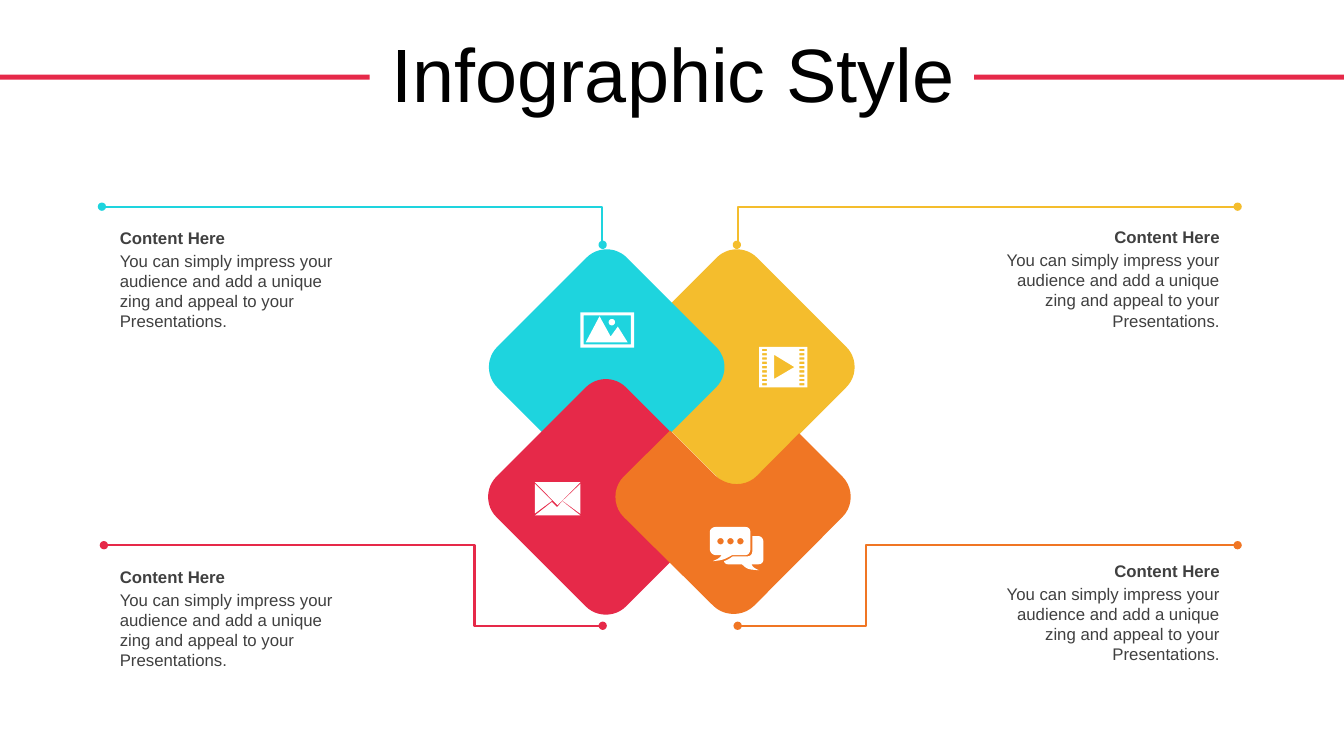
"""Build the four-diamond infographic slide."""
from dataclasses import dataclass

from lxml import etree
from pptx import Presentation
from pptx import util as u
from pptx.dml.color import RGBColor
from pptx.enum import shapes, text
from pptx.oxml import ns
from pptx.util import Cm


@dataclass(frozen=True)
class Theme:
    """Colours, font and type sizes of the slide."""
    cyan: str = "1ED4DE"
    yellow: str = "F4BD2D"
    red: str = "E62949"
    orange: str = "F07624"
    white: str = "FFFFFF"
    black: str = "000000"
    grey: str = "404040"
    font: str = "Arial"
    title_size: int = 54
    caption_size: int = 12


THEME = Theme()
MESSAGE = ("You can simply impress your audience and add a unique zing "
           "and appeal to your Presentations.")
LEFT, RIGHT = text.PP_ALIGN.LEFT, text.PP_ALIGN.RIGHT
DIAMOND_SIDE = 4.62

ORANGE_DIAMOND = [
    (16.89, 10.85), (18.03, 11.99), (18.34, 12.27, 18.8, 12.27, 19.08, 11.99),
    (20.14, 10.92), (21.23, 12.01), (21.51, 12.29, 21.51, 12.75, 21.23, 13.03),
    (19, 15.27), (18.72, 15.54, 18.26, 15.54, 17.98, 15.27),
    (15.72, 13.03), (15.44, 12.75, 15.44, 12.29, 15.72, 12.01),
]
ENVELOPE = [
    [(0.69, 0.48), (1.15, 0.84), (0, 0.84), (0.43, 0.5), (0.56, 0.63)],
    [(1.15, 0.04), (1.15, 0.8), (0.7, 0.47)],
    [(0, 0.04), (0.43, 0.47), (0, 0.79)],
    [(0, 0), (1.15, 0), (0.57, 0.58)],
]
BACK_BUBBLE = [
    (1.07, 0.23), (1.22, 0.23), (1.3, 0.23, 1.35, 0.3, 1.35, 0.38),
    (1.35, 0.81), (1.35, 0.89, 1.3, 0.94, 1.22, 0.94), (1.04, 0.94),
    (1.09, 0.99, 1.07, 1.02, 1.24, 1.09), (0.97, 1.07, 0.94, 1.07, 0.81, 0.94),
    (0.46, 0.94), (0.41, 0.94, 0.36, 0.91, 0.36, 0.86),
    (0.43, 0.84, 0.51, 0.79, 0.58, 0.74), (0.94, 0.74),
    (1.02, 0.74, 1.07, 0.69, 1.07, 0.61),
]
FRONT_BUBBLE = [
    (0.15, 0), (0.89, 0), (0.97, 0, 1.02, 0.05, 1.02, 0.13),
    (1.02, 0.56), (1.02, 0.64, 0.97, 0.71, 0.89, 0.71), (0.56, 0.71),
    (0.38, 0.81, 0.33, 0.84, 0.08, 0.86), (0.23, 0.79, 0.23, 0.79, 0.3, 0.71),
    (0.15, 0.71), (0.08, 0.71, 0, 0.64, 0, 0.56),
    (0, 0.13), (0, 0.05, 0.08, 0, 0.15, 0),
]
MOUNTAINS = [(0.48, 0.1), (0.76, 0.61), (0.94, 0.36), (1.19, 0.76), (0.13, 0.76)]
PLAY = [(0.38, 0.2), (0.38, 0.81), (0.89, 0.51)]


def box(left, top, width, height):
    """Return the contour of a rectangle."""
    right, bottom = left + width, top + height
    return [(left, top), (right, top), (right, bottom), (left, bottom)]


def circle(x, y, r):
    """Return the contour of a circle as four curves."""
    k = 0.55 * r
    return [(x, y - r), (x + k, y - r, x + r, y - k, x + r, y),
            (x + r, y + k, x + k, y + r, x, y + r),
            (x - k, y + r, x - r, y + k, x - r, y),
            (x - r, y - k, x - k, y - r, x, y - r)]


def flatten(contour, steps=10):
    """Turn corners and cubic curves into a list of points."""
    points = []
    for part in contour:
        if len(part) == 2:
            points.append(part)
            continue
        controls = [points[-1], part[:2], part[2:4], part[4:]]
        for step in range(1, steps + 1):
            t = step / steps
            weights = ((1 - t) ** 3, 3 * t * (1 - t) ** 2, 3 * t * t * (1 - t), t ** 3)
            points.append(tuple(sum(w * c[axis] for w, c in zip(weights, controls))
                                for axis in (0, 1)))
    return points


def paint(shape, color):
    """Give a shape a plain fill without line or shadow."""
    shape.fill.solid()
    shape.fill.fore_color.rgb = RGBColor.from_string(color)
    shape.line.fill.background()
    shape.shadow.inherit = False


def add_outline(slide, contours, color, left=0, top=0):
    """Draw contours as one filled freeform, offset by left and top."""
    builder = None
    for contour in contours:
        points = [(Cm(left + x), Cm(top + y)) for x, y in flatten(contour)]
        if builder is None:
            builder = slide.shapes.build_freeform(*points[0])
        else:
            builder.move_to(*points[0])
        builder.add_line_segments(points[1:], close=True)
    paint(builder.convert_to_shape(), color)


def add_bar(slide, left):
    """Draw one of the bars beside the title."""
    bar = slide.shapes.add_shape(shapes.MSO_SHAPE.RECTANGLE,
                                 Cm(left), Cm(1.88), Cm(9.32), Cm(0.13))
    paint(bar, THEME.red)


def add_diamond(slide, center_x, center_y, color):
    """Draw a rounded square standing on its corner."""
    half = DIAMOND_SIDE / 2
    diamond = slide.shapes.add_shape(
        shapes.MSO_SHAPE.ROUNDED_RECTANGLE, Cm(center_x - half), Cm(center_y - half),
        Cm(DIAMOND_SIDE), Cm(DIAMOND_SIDE))
    diamond.adjustments[0] = 0.156
    diamond.rotation = 315
    paint(diamond, color)


def write(frame, words, size=THEME.caption_size, color=THEME.grey, bold=False,
          align=LEFT, anchor=text.MSO_ANCHOR.TOP, spacing=None,
          fit=text.MSO_AUTO_SIZE.SHAPE_TO_FIT_TEXT):
    """Put one formatted paragraph into a text frame."""
    frame.word_wrap = True
    frame.auto_size = fit
    frame.vertical_anchor = anchor
    frame.text = words
    paragraph = frame.paragraphs[0]
    paragraph.alignment = align
    paragraph.line_spacing = spacing
    font = paragraph.runs[0].font
    font.name, font.size, font.bold = THEME.font, u.Pt(size), bold
    font.color.rgb = RGBColor.from_string(color)


def add_title(slide):
    """Place and format the slide title."""
    title = slide.shapes.title
    title.left, title.top, title.width, title.height = Cm(0.89), Cm(0.79), Cm(32.16), Cm(2.34)
    write(title.text_frame, "Infographic Style", size=THEME.title_size,
          color=THEME.black, align=text.PP_ALIGN.CENTER, spacing=0.9,
          anchor=text.MSO_ANCHOR.MIDDLE, fit=text.MSO_AUTO_SIZE.NONE)


def add_caption(slide, left, top, width, align):
    """Add a bold heading with its message below."""
    heading = slide.shapes.add_textbox(Cm(left), Cm(top), Cm(width), Cm(0.76))
    write(heading.text_frame, "Content Here", bold=True, align=align,
          anchor=text.MSO_ANCHOR.MIDDLE)
    message = slide.shapes.add_textbox(Cm(left), Cm(top + 0.58), Cm(width), Cm(2.31))
    write(message.text_frame, MESSAGE, align=align)


def add_leader(slide, start, end, bend, color):
    """Draw an elbow line with a dot at both ends."""
    leader = slide.shapes.add_connector(shapes.MSO_CONNECTOR.ELBOW,
                                        *(Cm(v) for v in start + end))
    leader.line.color.rgb = RGBColor.from_string(color)
    leader.line.width = u.Pt(1.5)
    properties = leader.line._get_or_add_ln().getparent()
    for tag in ("a:headEnd", "a:tailEnd"):
        etree.SubElement(properties.find(ns.qn("a:ln")), ns.qn(tag), type="oval")
    guides = properties.find(ns.qn("a:prstGeom")).find(ns.qn("a:avLst"))
    etree.SubElement(guides, ns.qn("a:gd"), name="adj1", fmla=f"val {bend}")
    etree.SubElement(properties, ns.qn("a:effectLst"))


def main():
    """Build and save the slide."""
    deck = Presentation()
    deck.slide_width, deck.slide_height = Cm(33.87), Cm(19.05)
    slide = deck.slides.add_slide(deck.slide_layouts[5])
    for left in (0, 24.55):
        add_bar(slide, left)
    add_title(slide)

    add_diamond(slide, 18.57, 9.25, THEME.yellow)
    add_diamond(slide, 15.29, 9.25, THEME.cyan)
    add_diamond(slide, 15.27, 12.52, THEME.red)
    add_outline(slide, [ORANGE_DIAMOND], THEME.orange)

    for left, width, align, tops in ((2.77, 6.22, LEFT, (5.61, 14.15)),
                                     (24.92, 6.07, RIGHT, (5.59, 14))):
        for top in tops:
            add_caption(slide, left, top, width, align)

    add_leader(slide, (18.57, 6.17), (31.19, 5.21), 200, THEME.yellow)
    add_leader(slide, (18.59, 15.77), (31.19, 13.74), 25700, THEME.orange)
    add_leader(slide, (15.19, 6.17), (2.57, 5.21), 200, THEME.cyan)
    add_leader(slide, (15.19, 15.77), (2.62, 13.74), 25700, THEME.red)

    dots = [circle(x, 0.36, 0.08) for x in (0.27, 0.52, 0.77)]
    landscape = [box(0, 0, 1.35, 0.89), box(0.08, 0.08, 1.19, 0.73),
                 MOUNTAINS, circle(0.79, 0.25, 0.08)]
    perforations = [box(x, 0.05 + 0.108 * row, 0.12, 0.06)
                    for x in (0.08, 1.02) for row in range(9)]
    film = [box(0, 0, 1.22, 1.02), PLAY] + perforations
    add_outline(slide, ENVELOPE, THEME.white, 13.48, 12.15)
    add_outline(slide, [BACK_BUBBLE, FRONT_BUBBLE] + dots, THEME.white, 17.89, 13.28)
    add_outline(slide, landscape, THEME.white, 14.63, 7.87)
    add_outline(slide, film, THEME.white, 19.13, 8.74)
    deck.save("out.pptx")


if __name__ == "__main__":
    main()
